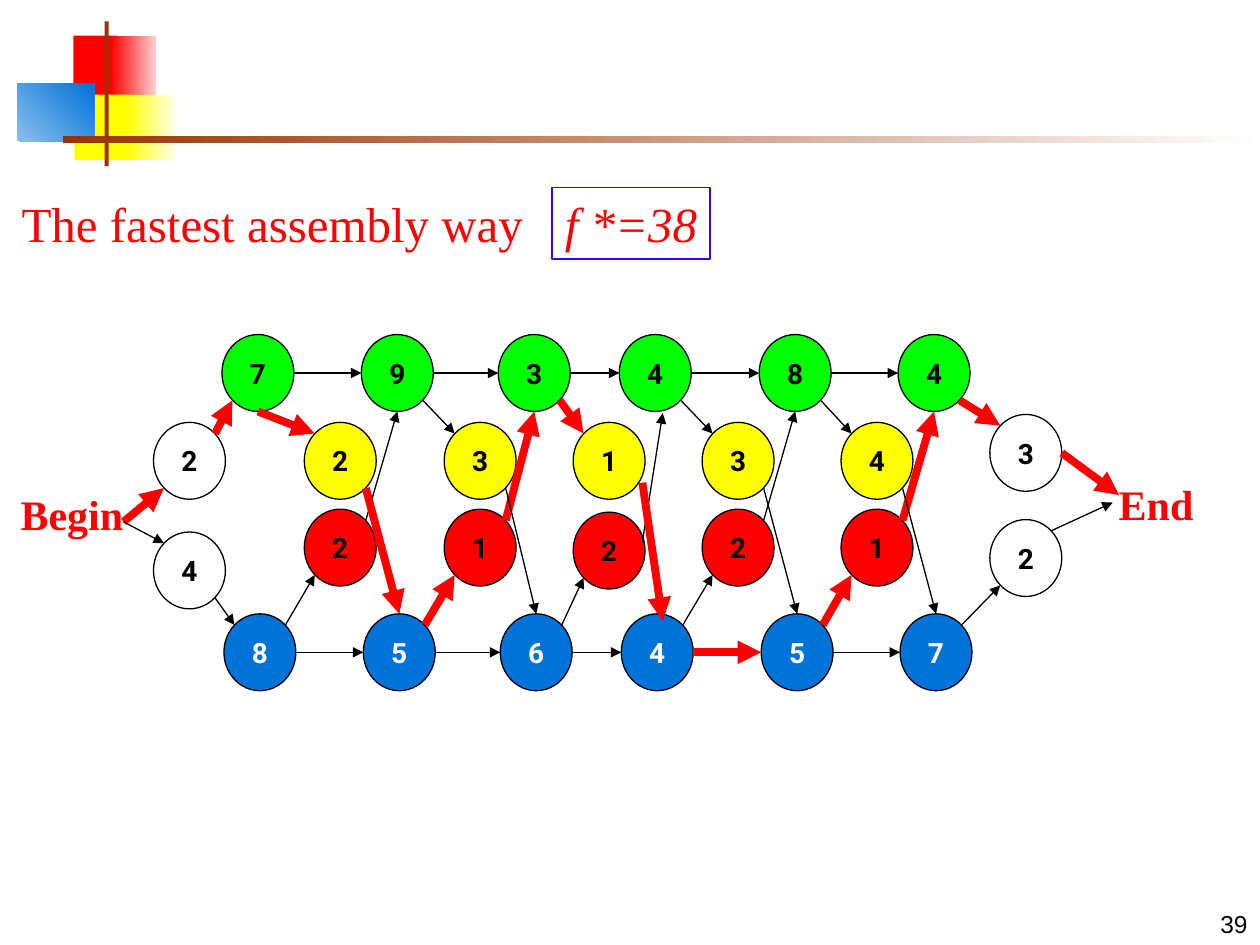
"""Build the slide showing the fastest way through a two-line assembly plant."""
from lxml import etree
from pptx import Presentation
from pptx.dml.color import RGBColor
from pptx.enum.shapes import MSO_CONNECTOR, MSO_SHAPE
from pptx.enum.text import MSO_ANCHOR, PP_ALIGN
from pptx.oxml.ns import qn
from pptx.util import Cm, Pt

RECT, OVAL, STRAIGHT = MSO_SHAPE.RECTANGLE, MSO_SHAPE.OVAL, MSO_CONNECTOR.STRAIGHT
CENTER, RIGHT = PP_ALIGN.CENTER, PP_ALIGN.RIGHT
TOP, MIDDLE, BOTTOM = MSO_ANCHOR.TOP, MSO_ANCHOR.MIDDLE, MSO_ANCHOR.BOTTOM

COLORS = {
    "red": "FF0000", "pink": "FFD1D1", "yellow": "FFFF00", "cream": "FFFFF0",
    "blue": "0073D9", "sky": "8BBFEE", "brown": "993300", "white": "FFFFFF",
    "green": "00FF00", "black": "000000", "frame": "3300FF",
}
SERIF = "Times New Roman"

DECOR = [
    ((1.48, 0.72, 0.89, 1.32), ["red"], 0),
    ((2.24, 0.72, 0.91, 1.32), ["red", "pink"], 0),
    ((1.5, 1.91, 1.17, 1.32), ["yellow"], 0),
    ((2.54, 1.91, 1.02, 1.32), ["yellow", "cream"], 0),
    ((0.35, 1.68, 1.55, 1.17), ["sky", "blue"], 45),
    ((2.11, 0.43, 0.08, 2.92), ["brown"], 0),
    ((1.27, 2.74, 24.13, 0.14), ["brown", "white"], 0),
]

LINE_X = [5.2, 8.01, 10.77, 13.21, 16.03, 18.83]
SHIFT_X = [6.86, 9.68, 12.28, 14.88, 17.68]
ROWS = [
    ("A", "green", "black", [7, 9, 3, 4, 8, 4], LINE_X, [7.52] * 6),
    ("B", "blue", "white", [8, 5, 6, 4, 5, 7], [x + 0.04 for x in LINE_X], [13.15] * 6),
    ("down", "yellow", "black", [2, 3, 1, 3, 4], SHIFT_X, [9.29] * 5),
    ("up", "red", "black", [2, 1, 2, 2, 1], SHIFT_X, [11.04, 11.04, 11.1, 11.04, 11.04]),
    ("in", "white", "black", [2, 4], [3.82, 3.82], [9.29, 11.5]),
    ("out", "white", "black", [3, 2], [20.68, 20.68], [9.13, 11.25]),
]
NODE_W, NODE_H = 1.45, 1.55
DIAG = 0.71
SIDES = {
    "t": (0, -1), "b": (0, 1), "l": (-1, 0), "r": (1, 0),
    "tl": (-DIAG, -DIAG), "tr": (DIAG, -DIAG), "bl": (-DIAG, DIAG), "br": (DIAG, DIAG),
}

FASTEST = ["begin", "in1", "A1", "down1", "B2", "up2", "A3", "down3",
           "B4", "B5", "up5", "A6", "out1", "end"]
ENDS = [
    ("begin", "", "in1", "bl"), ("begin", "", "in2", "tl"),
    ("A6", "br", "out1", "tl"), ("B6", "tr", "out2", "bl"),
    ("out1", "r", "end", ""), ("out2", "tr", "end", ""),
    ("in1", "tr", "A1", "bl"), ("in2", "br", "B1", "tl"),
]
FIXED = {
    ("begin", "in1"): ((2.49, 10.52), None),
    ("begin", "in2"): ((2.49, 10.52), None),
    ("out1", "end"): (None, (22.56, 9.98)),
    ("out2", "end"): (None, (22.43, 10.13)),
    ("up3", "A4"): ((12.95, 10.92), (13.36, 8.33)),
    ("down3", "B4"): ((12.95, 9.73), (13.36, 12.52)),
}

LABELS = [
    ("Begin", (0, 9.73, 2.9, 1.27), 24, True, False, None),
    ("End", (22.3, 9.53, 2.01, 1.27), 24, True, False, None),
    ("The fastest assembly way", (0.18, 3.78, 10.62, 1.45), 28, False, False, None),
    ("f *=38", (11.13, 3.78, 3.18, 1.45), 28, False, True, "frame"),
]


def rgb(name):
    return RGBColor.from_string(COLORS[name])


def add_box(s, kind, at, fills=(), angle=0, line=None, width=0.75):
    sp = s.shapes.add_shape(kind, *(Cm(v) for v in at))
    sp.shadow.inherit = False
    if len(fills) == 2:
        sp.fill.gradient()
        sp.fill.gradient_angle = angle
        for stop, name, pos in zip(sp.fill.gradient_stops, fills, (0, 1)):
            stop.color.rgb, stop.position = rgb(name), pos
    elif fills:
        sp.fill.solid()
        sp.fill.fore_color.rgb = rgb(fills[0])
    else:
        sp.fill.background()
    if line:
        sp.line.color.rgb = rgb(line)
        sp.line.width = Pt(width)
    else:
        sp.line.fill.background()
    return sp


def write(sp, text, size, font, color, anchor=TOP, align=CENTER, bold=False, italic=False, wrap=True):
    tf = sp.text_frame
    tf.word_wrap, tf.vertical_anchor = wrap, anchor
    p = tf.paragraphs[0]
    p.text, p.alignment = text, align
    p.font.size, p.font.name, p.font.bold, p.font.italic = Pt(size), font, bold, italic
    p.font.color.rgb = rgb(color)


def add_arrow(s, start, end, fast):
    c = s.shapes.add_connector(STRAIGHT, *(Cm(v) for v in (*start, *end)))
    c.line.color.rgb = rgb("red" if fast else "black")
    c.line.width = Pt(4.5 if fast else 0.75)
    etree.SubElement(c.line._get_or_add_ln(), qn("a:tailEnd"), type="triangle")
    etree.SubElement(c._element.spPr, qn("a:effectLst"))


def add_nodes(s):
    centers = {}
    for row, fill, ink, times, xs, ys in ROWS:
        for i, (time, x, y) in enumerate(zip(times, xs, ys), 1):
            centers[f"{row}{i}"] = x, y
            at = (x - NODE_W / 2, y - NODE_H / 2, NODE_W, NODE_H)
            sp = add_box(s, OVAL, at, [fill], line="black")
            write(sp, str(time), 16, "Roboto", ink, MIDDLE, bold=True)
    return centers


def routes():
    steps = range(1, len(LINE_X))
    up = [r for i in steps for r in ((f"B{i}", "tr", f"up{i}", "bl"),
                                     (f"up{i}", "tr", f"A{i + 1}", "b"))]
    down = [r for i in steps for r in ((f"A{i}", "b" if i == 1 else "br", f"down{i}", "tl"),
                                       (f"down{i}", "br", f"B{i + 1}", "t"))]
    along = [(f"{row}{i}", "r", f"{row}{i + 1}", "l") for row in "AB" for i in steps]
    return up + down + ENDS + along


def add_arrows(s, centers):
    def site(name, side):
        (x, y), (dx, dy) = centers[name], SIDES[side]
        return x + dx * NODE_W / 2, y + dy * NODE_H / 2

    fast = set(zip(FASTEST, FASTEST[1:]))
    for a, a_side, b, b_side in routes():
        start, end = FIXED.get((a, b), (None, None))
        add_arrow(s, start or site(a, a_side), end or site(b, b_side), (a, b) in fast)


def main():
    prs = Presentation()
    prs.slide_width, prs.slide_height = Cm(25.4), Cm(19.05)
    s = prs.slides.add_slide(prs.slide_layouts[6])
    for at, fills, angle in DECOR:
        add_box(s, RECT, at, fills, angle)
    number = s.shapes.add_textbox(Cm(20.12), Cm(17.78), Cm(5.28), Cm(1.27))
    write(number, "39", 14, "Arial", "black", BOTTOM, RIGHT)
    add_arrows(s, add_nodes(s))
    for text, at, size, bold, italic, line in LABELS:
        sp = add_box(s, RECT, at, line=line, width=1) if line else s.shapes.add_textbox(*(Cm(v) for v in at))
        write(sp, text, size, SERIF, "red", bold=bold, italic=italic, wrap=False)
    prs.save("out.pptx")


if __name__ == "__main__":
    main()
